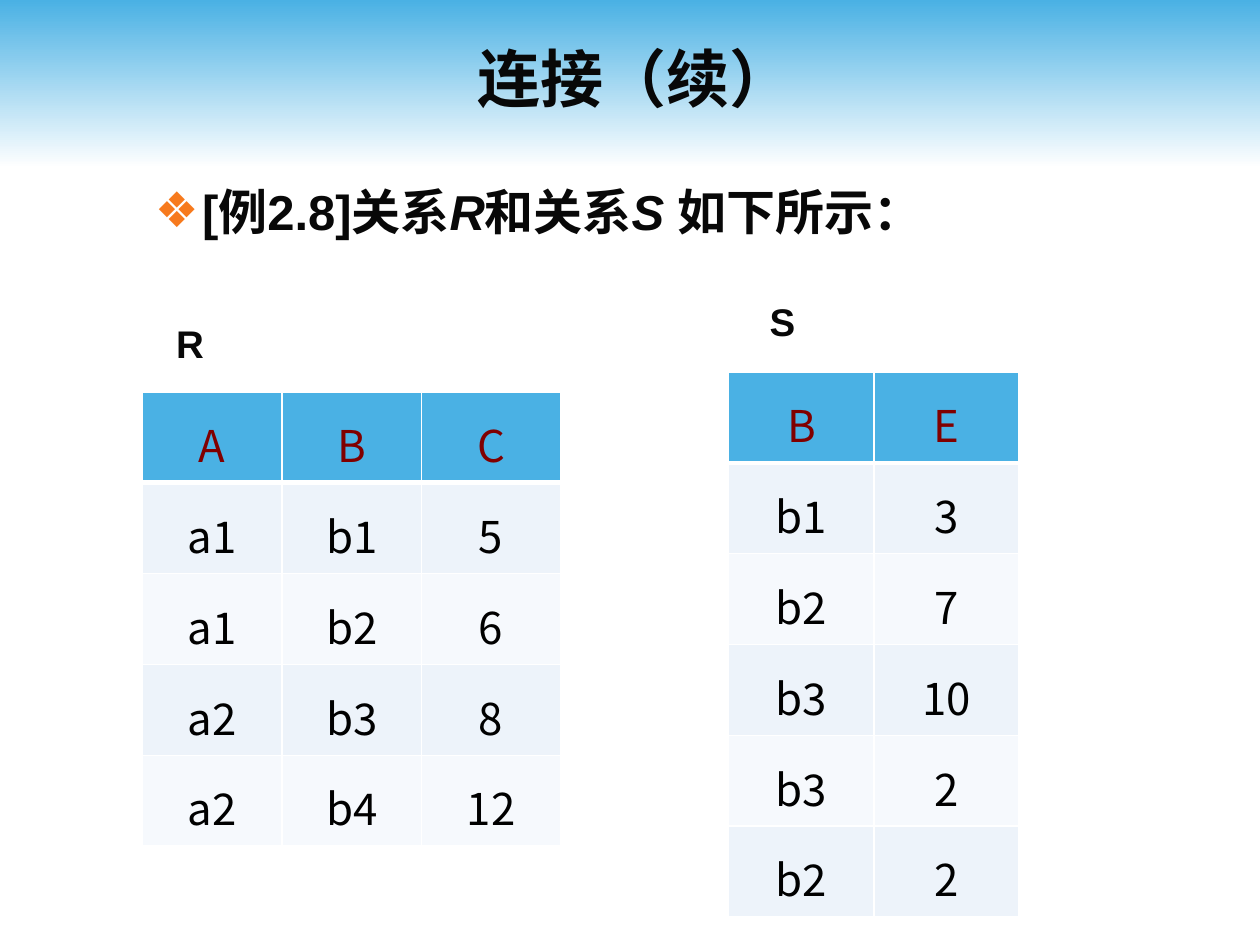
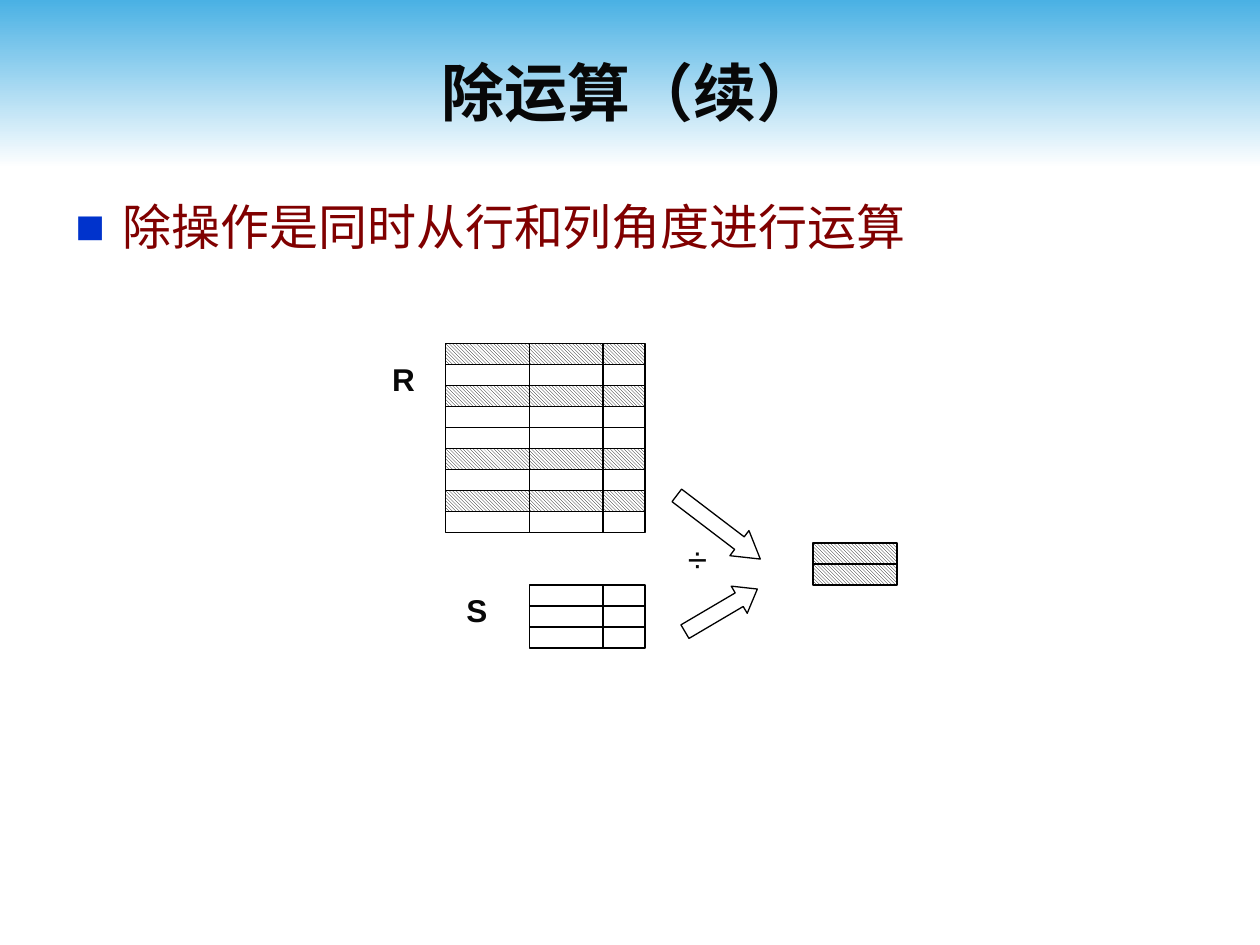
from lxml.etree import SubElement
from pptx import Presentation
from pptx.dml.color import RGBColor
from pptx.enum.dml import MSO_PATTERN
from pptx.enum.shapes import MSO_CONNECTOR, MSO_SHAPE
from pptx.enum.text import MSO_ANCHOR as Anchor, MSO_AUTO_SIZE as AutoSize, PP_ALIGN as Align
from pptx.oxml.ns import qn
from pptx.util import Pt

COLORS = {
    "sky": "4AB1E4", "white": "FFFFFF", "black": "000000", "ink": "080808",
    "maroon": "800000", "orange": "F77A1D", "blue": "0033CC",
    "band_dark": "EDF3FA", "band_light": "F6F9FD",
}
LATIN, CJK = "Arial", "Noto Sans CJK SC"
TITLE_ONLY = 5
ROW = 12  # row height of the relation sketches


def color(name):
    return RGBColor.from_string(COLORS[name])


def points(*lengths):
    return [Pt(length) for length in lengths]


def style_run(run, size, ink="ink", face=LATIN, bold=False, italic=False):
    font = run.font
    font.size, font.name, font.bold, font.italic = Pt(size), face, bold, italic
    font.color.rgb = color(ink)
    SubElement(font._element, qn("a:ea"), typeface=CJK)


# Shared parts

def add_master_band(prs, slide):
    """Build the gradient band and hand it to the slide master."""
    band = slide.shapes.add_shape(MSO_SHAPE.RECTANGLE, 0, 0, prs.slide_width, Pt(96))
    band.shadow.inherit = False
    band.line.fill.background()
    band.fill.gradient()
    band.fill.gradient_angle = 270
    for stop, name, position in zip(band.fill.gradient_stops, ("sky", "white"), (0, 1)):
        stop.color.rgb = color(name)
        stop.position = position
    band._element.nvSpPr.cNvPr.set("id", "99")
    prs.slide_master.shapes._spTree.insert(2, band._element)


def add_titled_slide(prs, heading, box):
    slide = prs.slides.add_slide(prs.slide_layouts[TITLE_ONLY])
    title = slide.shapes.title
    title.left, title.top, title.width, title.height = points(*box)
    frame = title.text_frame
    frame.text = heading
    frame.vertical_anchor = Anchor.MIDDLE
    frame.auto_size = AutoSize.NONE
    frame.paragraphs[0].alignment = Align.CENTER
    style_run(frame.paragraphs[0].runs[0], 36, face=CJK, bold=True)
    return slide


def add_label(slide, text, box, size, bold=True, align=Align.CENTER, before=0):
    label = slide.shapes.add_textbox(*points(*box))
    paragraph = label.text_frame.paragraphs[0]
    paragraph.text = text
    paragraph.alignment = align
    paragraph.space_before = Pt(before)
    style_run(paragraph.runs[0], size, bold=bold)
    return label


def add_bullet(slide, box, parts, mark, mark_color, spacing=1.0, **style):
    """Write one bulleted line; parts holds (text, italic) pairs."""
    body = slide.shapes.add_textbox(*points(*box))
    body.text_frame.word_wrap = True
    paragraph = body.text_frame.paragraphs[0]
    paragraph.line_spacing = spacing
    paragraph.space_before = Pt(5.6)
    props = paragraph._p.get_or_add_pPr()
    props.set("marL", str(Pt(27)))
    props.set("indent", str(-Pt(27)))
    SubElement(SubElement(props, qn("a:buClr")), qn("a:srgbClr"), val=COLORS[mark_color])
    SubElement(props, qn("a:buFont"), typeface=LATIN)
    SubElement(props, qn("a:buChar"), char=mark)
    for text, italic in parts:
        run = paragraph.add_run()
        run.text = text
        style_run(run, 28, italic=italic, **style)


# Relation tables

def set_borders(cell, **widths):
    props = cell._tc.get_or_add_tcPr()
    for side in ("L", "R", "T", "B"):
        edge = SubElement(props, qn(f"a:ln{side}"), w=str(Pt(widths.get(side, 1))))
        SubElement(SubElement(edge, qn("a:solidFill")), qn("a:srgbClr"), val=COLORS["white"])


def add_relation(slide, left, top, column_width, rows):
    row_height = 38.9
    box = (left, top, column_width * len(rows[0]), row_height * len(rows))
    relation = slide.shapes.add_table(len(rows), len(rows[0]), *points(*box)).table
    for column in relation.columns:
        column.width = Pt(column_width)
    for r, values in enumerate(rows):
        relation.rows[r].height = Pt(row_height)
        fill = "sky" if r == 0 else "band_dark" if r % 2 else "band_light"
        for c, value in enumerate(values):
            cell = relation.cell(r, c)
            cell.margin_top = cell.margin_bottom = Pt(4.3)
            set_borders(cell, T=3 if r == 1 else 1, B=3 if r == 0 else 1)
            cell.fill.solid()
            cell.fill.fore_color.rgb = color(fill)
            paragraph = cell.text_frame.paragraphs[0]
            paragraph.text = value
            paragraph.alignment = Align.CENTER
            paragraph.line_spacing = 1.2
            style_run(paragraph.runs[0], 25, "black" if r else "maroon", CJK)


# Division sketch

def outline(shape, hatched=False):
    shape.shadow.inherit = False
    if hatched:
        shape.fill.patterned()
        shape.fill.pattern = MSO_PATTERN.LIGHT_DOWNWARD_DIAGONAL
        shape.fill.fore_color.rgb = color("black")
        shape.fill.back_color.rgb = color("white")
    else:
        shape.fill.solid()
        shape.fill.fore_color.rgb = color("white")
    shape.line.color.rgb = color("black")
    shape.line.width = Pt(0.75)


def add_row_stack(slide, left, top, width, count, hatched=(), dividers=()):
    for i in range(count):
        box = points(left, top + i * ROW, width, ROW)
        outline(slide.shapes.add_shape(MSO_SHAPE.RECTANGLE, *box), i in hatched)
    for x in dividers:
        ends = points(left + x, top, left + x, top + count * ROW)
        divider = slide.shapes.add_connector(MSO_CONNECTOR.STRAIGHT, *ends)
        divider.line.color.rgb = color("black")
        divider.line.width = Pt(0.75)
        SubElement(divider._element.spPr, qn("a:effectLst"))


def add_block_arrow(slide, left, top, length, rotation):
    thickness = 18
    arrow = slide.shapes.add_shape(MSO_SHAPE.RIGHT_ARROW, *points(left, top, length, thickness))
    arrow.adjustments[0] = 0.5
    arrow.adjustments[1] = length / thickness / 4
    arrow.rotation = rotation
    outline(arrow)


def add_division_sketch(slide, left, top):
    # Dividend, divisor and quotient
    add_row_stack(slide, left, top, 114, 9, hatched=(0, 2, 5, 7), dividers=(48, 90))
    add_row_stack(slide, left + 48, top + 138, 66, 3, dividers=(42,))
    add_row_stack(slide, left + 210, top + 114, 48, 2, hatched=(0, 1))
    # Arrows towards the quotient
    add_block_arrow(slide, left + 126, top + 96, 60, 37.3)
    add_block_arrow(slide, left + 133.5, top + 143.5, 48, 329.5)
    # Names and operator
    for name, x, y in (("R", -42, 6), ("S", 0, 138)):
        label = add_label(slide, name, (left + x, top + y, 36, 36), 18, before=9)
        label.text_frame.word_wrap = True
    sign = add_label(slide, "÷", (left + 108, top + 96, 72, 54), 20, bold=False)
    sign.text_frame.vertical_anchor = Anchor.MIDDLE


# Slides

def build_join_slide(prs):
    slide = add_titled_slide(prs, "连接（续）", (72, 27.4, 581.8, 33.8))
    add_relation(slide, 81.4, 224, 79.7, [
        ("A", "B", "C"), ("a1", "b1", "5"), ("a1", "b2", "6"),
        ("a2", "b3", "8"), ("a2", "b4", "12")])
    add_relation(slide, 416.4, 212.6, 83, [
        ("B", "E"), ("b1", "3"), ("b2", "7"), ("b3", "10"), ("b3", "2"), ("b2", "2")])
    add_label(slide, "R", (93.6, 179.3, 31, 33.8), 22, align=Align.LEFT)
    add_label(slide, "S", (432.7, 167, 29.5, 33.8), 22, align=Align.LEFT)
    example = [("[例2.8]关系", False), ("R", True), ("和关系", False),
               ("S ", True), ("如下所示：", False)]
    add_bullet(slide, (81.4, 100, 596.2, 85), example, "❖", "orange", bold=True)
    return slide


def build_division_slide(prs):
    slide = add_titled_slide(prs, "除运算（续）", (36, 18, 648, 68.4))
    add_bullet(slide, (36, 102.2, 648, 396), [("除操作是同时从行和列角度进行运算", False)],
               "■", "blue", spacing=1.2, ink="maroon", face=CJK)
    add_division_sketch(slide, 254.6, 196.3)


def main():
    prs = Presentation()
    prs.slide_width, prs.slide_height = points(720, 540)
    join_slide = build_join_slide(prs)
    add_master_band(prs, join_slide)
    build_division_slide(prs)
    prs.save("out.pptx")


if __name__ == "__main__":
    main()
